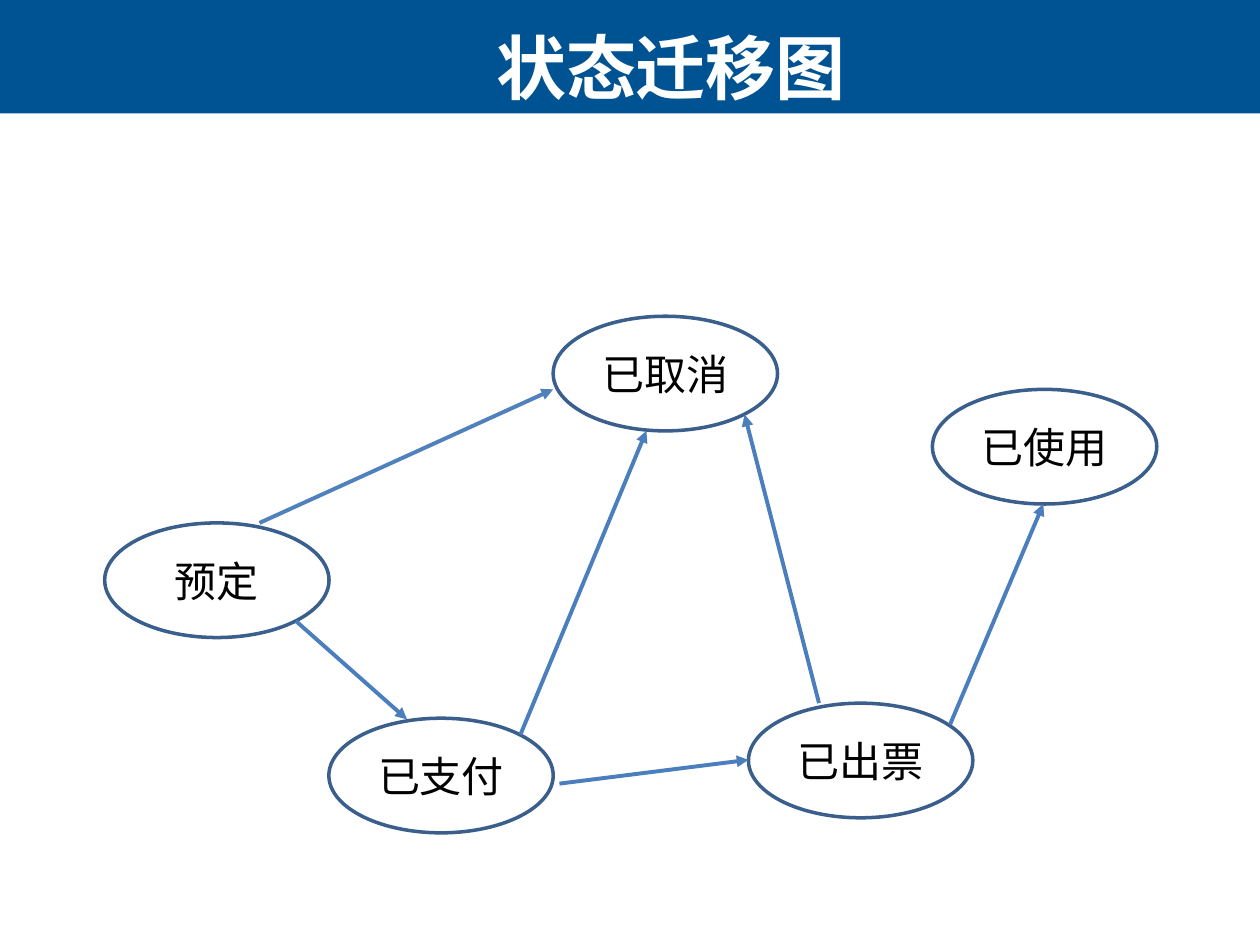
from dataclasses import dataclass

from lxml import etree
from pptx import Presentation
from pptx.dml.color import RGBColor
from pptx.enum.shapes import MSO_CONNECTOR, MSO_SHAPE
from pptx.enum.text import MSO_ANCHOR, MSO_AUTO_SIZE, PP_ALIGN
from pptx.oxml.ns import qn
from pptx.util import Pt

RECT, OVAL = MSO_SHAPE.RECTANGLE, MSO_SHAPE.OVAL
STRAIGHT = MSO_CONNECTOR.STRAIGHT
MIDDLE, BOTTOM = MSO_ANCHOR.MIDDLE, MSO_ANCHOR.BOTTOM
CENTER = PP_ALIGN.CENTER
NO_FIT = MSO_AUTO_SIZE.NONE


@dataclass(frozen=True)
class Theme:
    banner: RGBColor = RGBColor(0x00, 0x53, 0x92)
    outline: RGBColor = RGBColor(0x3A, 0x5F, 0x8C)
    arrow: RGBColor = RGBColor(0x4B, 0x7E, 0xBC)
    arrow_light: RGBColor = RGBColor(0x4F, 0x81, 0xBD)
    title_color: RGBColor = RGBColor(0xFF, 0xFF, 0xFF)
    text_color: RGBColor = RGBColor(0x00, 0x00, 0x00)
    title_size: int = 40
    text_size: int = 24
    latin: str = "Calibri"
    cjk: str = "Noto Sans CJK SC"


STATE_SIZE = (128.2, 65.5)
STATES = {
    "已支付": (187.9, 410.4),
    "预定": (59.8, 298.8),
    "已取消": (316.1, 180.7),
    "已出票": (427.7, 401.8),
    "已使用": (532.8, 222.5),
}
TRANSITIONS = [
    ((169.2, 355), (232.6, 411.1), "arrow"),
    ((148.3, 298.8), (316.1, 222.5), "arrow_light"),
    ((297.4, 419.8), (369.4, 246.2), "arrow"),
    ((468, 401.8), (425.5, 236.9), "arrow"),
    ((319.7, 447.8), (427.7, 434.2), "arrow"),
    ((542.9, 414), (596.2, 288), "arrow"),
]


class Deck:
    def __init__(self, prs, theme):
        self.theme = theme
        self.s = prs.slides.add_slide(prs.slide_layouts[5])

    def set_text(self, sp, text, anchor, color, font):
        tf = sp.text_frame
        frame = {"word_wrap": True, "auto_size": NO_FIT, "vertical_anchor": anchor}
        for key, value in frame.items():
            setattr(tf, key, value)
        p = tf.paragraphs[0]
        p.alignment = CENTER
        r = p.add_run()
        r.text = text
        for key, value in font.items():
            setattr(r.font, key, value)
        r.font.color.rgb = color
        ea = etree.SubElement(r._r.get_or_add_rPr(), qn("a:ea"))
        ea.set("typeface", self.theme.cjk)

    def shape(self, kind, left, top, width, height):
        sp = self.s.shapes.add_shape(kind, Pt(left), Pt(top), Pt(width), Pt(height))
        sp.shadow.inherit = False
        return sp

    def banner(self, width, height):
        sp = self.shape(RECT, 0, 0, width, height)
        sp.fill.solid()
        sp.fill.fore_color.rgb = self.theme.banner
        sp.line.fill.background()

    def state(self, text, left, top):
        sp = self.shape(OVAL, left, top, *STATE_SIZE)
        sp.fill.background()
        sp.line.color.rgb = self.theme.outline
        sp.line.width = Pt(2)
        font = {"name": self.theme.latin, "size": Pt(self.theme.text_size)}
        self.set_text(sp, text, MIDDLE, self.theme.text_color, font)

    def transition(self, start, end, color):
        x1, y1, x2, y2 = map(Pt, start + end)
        cx = self.s.shapes.add_connector(STRAIGHT, x1, y1, x2, y2)
        cx.line.color.rgb = getattr(self.theme, color)
        cx.line.width = Pt(2.25)
        sp_pr = cx._element.spPr
        ln = sp_pr.find(qn("a:ln"))
        etree.SubElement(ln, qn("a:tailEnd")).set("type", "triangle")
        etree.SubElement(sp_pr, qn("a:effectLst"))

    def title(self, text, left, top, width, height):
        sp = self.s.shapes.title
        box = {"left": left, "top": top, "width": width, "height": height}
        for key, value in box.items():
            setattr(sp, key, Pt(value))
        self.s.shapes._spTree.append(sp._element)
        font = {"name": self.theme.cjk, "size": Pt(self.theme.title_size), "bold": True}
        self.set_text(sp, text, BOTTOM, self.theme.title_color, font)


def main():
    prs = Presentation()
    prs.slide_width, prs.slide_height = Pt(720), Pt(540)
    deck = Deck(prs, Theme())
    deck.banner(720, 64.8)
    for text, (left, top) in STATES.items():
        deck.state(text, left, top)
    for start, end, color in TRANSITIONS:
        deck.transition(start, end, color)
    deck.title("状态迁移图", 68.4, -30.2, 630, 95.8)
    prs.save("out.pptx")


if __name__ == "__main__":
    main()
